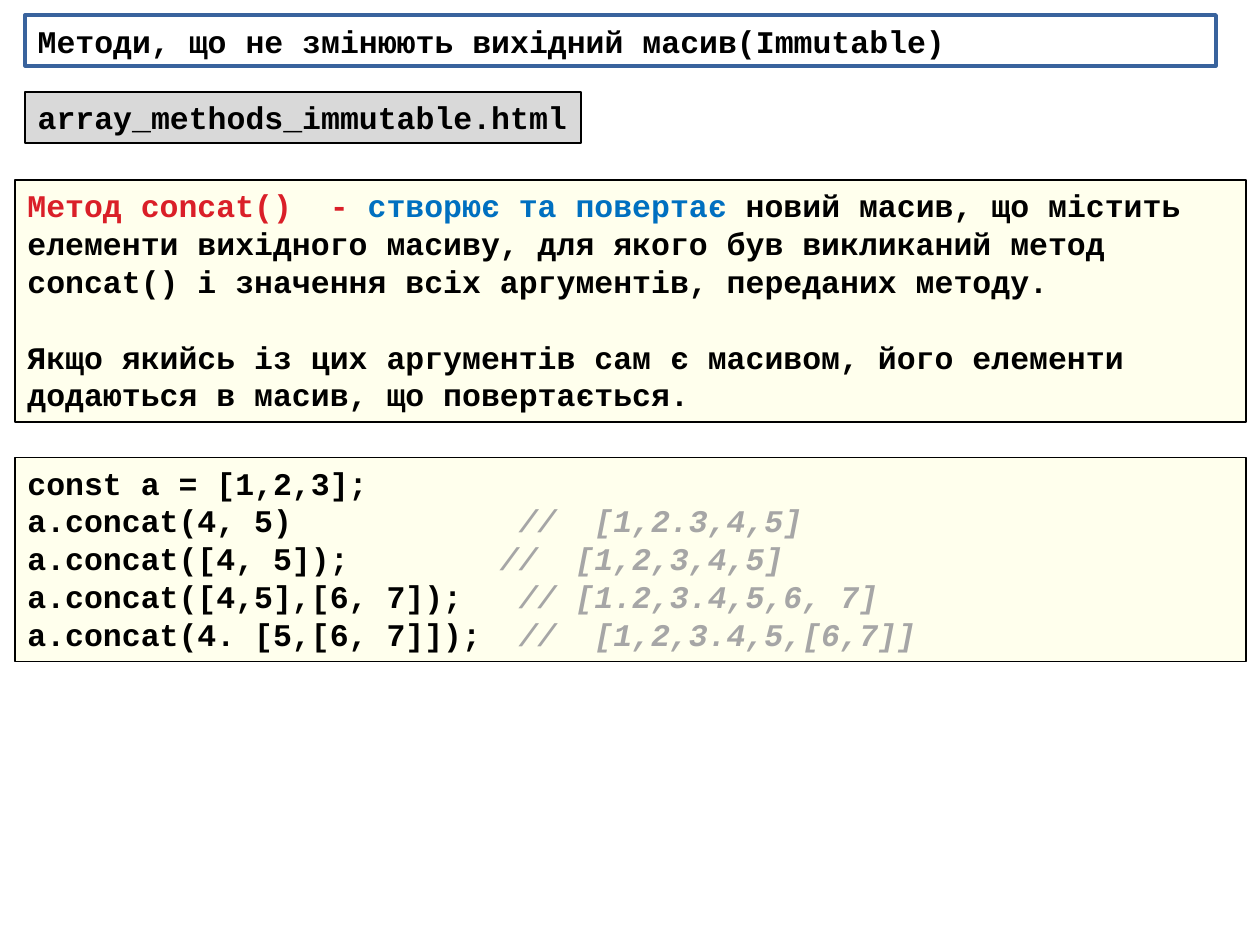
from dataclasses import dataclass

from lxml import etree
from pptx import Presentation
from pptx.dml.color import RGBColor
from pptx.enum.shapes import MSO_SHAPE
from pptx.enum.text import MSO_ANCHOR, MSO_AUTO_SIZE, PP_ALIGN
from pptx.oxml.ns import qn
from pptx.util import Pt

RECTANGLE = MSO_SHAPE.RECTANGLE
TOP, MIDDLE = MSO_ANCHOR.TOP, MSO_ANCHOR.MIDDLE
GROW, FIXED = MSO_AUTO_SIZE.SHAPE_TO_FIT_TEXT, MSO_AUTO_SIZE.NONE
LEFT = PP_ALIGN.LEFT

BLACK, RED, BLUE, GREY = "000000", "DA1F28", "0070C0", "A6A6A6"
FONT_FORMAT = {"name": "Courier New", "size": Pt(18), "bold": True}
CHARACTER_WIDTH = 10.8
LINE_HEIGHT = 21.6


@dataclass
class Run:
    text: str
    color: str = BLACK
    italic: bool = False


@dataclass
class Line:
    runs: list[Run]
    space_before: float = 0
    tab_column: int = 0


@dataclass
class Box:
    left: float
    top: float
    width: float
    height: float
    fill: str
    lines: list[Line]
    opacity: int = 100
    line_color: str = BLACK
    line_width: float = 1
    anchor: MSO_ANCHOR = TOP
    auto_size: MSO_AUTO_SIZE = GROW


def rgb(color: str) -> RGBColor:
    return RGBColor.from_string(color)


def code_line(code: str, comment: str, column: int = 26) -> Line:
    return Line([Run(code + "\t"), Run(comment, GREY, True)], tab_column=column)


def add_line(paragraph, line: Line) -> None:
    paragraph.alignment = LEFT
    paragraph.space_before = Pt(line.space_before)
    if line.tab_column:
        tabs = etree.SubElement(paragraph._p.get_or_add_pPr(), qn("a:tabLst"))
        position = Pt(line.tab_column * CHARACTER_WIDTH)
        etree.SubElement(tabs, qn("a:tab"), pos=str(int(position)), algn="l")
    for part in line.runs:
        run = paragraph.add_run()
        run.text = part.text
        for name, value in FONT_FORMAT.items():
            setattr(run.font, name, value)
        run.font.italic = part.italic
        run.font.color.rgb = rgb(part.color)


def add_box(slide, box: Box) -> None:
    shape = slide.shapes.add_shape(
        RECTANGLE, Pt(box.left), Pt(box.top), Pt(box.width), Pt(box.height))
    shape.shadow.inherit = False
    shape.fill.solid()
    shape.fill.fore_color.rgb = rgb(box.fill)
    if box.opacity < 100:
        color = shape._element.spPr.find(qn("a:solidFill"))[0]
        etree.SubElement(color, qn("a:alpha"), val=str(box.opacity * 1000))
    shape.line.color.rgb = rgb(box.line_color)
    shape.line.width = Pt(box.line_width)

    frame = shape.text_frame
    frame.word_wrap = True
    frame.vertical_anchor = box.anchor
    frame.auto_size = box.auto_size
    for index, line in enumerate(box.lines):
        paragraph = frame.add_paragraph() if index else frame.paragraphs[0]
        add_line(paragraph, line)


# Text of the two wide panels
description = [
    Line([
        Run("Метод concat()  - ", RED),
        Run("створює та повертає ", BLUE),
        Run("новий масив, що містить елементи вихідного масиву, "
            "для якого був викликаний метод"),
    ]),
    Line([Run("concat() і значення всіх аргументів, переданих методу.")]),
    Line([Run("Якщо якийсь із цих аргументів сам є масивом, його елементи "
              "додаються в масив, що повертається.")], space_before=LINE_HEIGHT),
]
example = [
    Line([Run("const a = [1,2,3];")]),
    code_line("a.concat(4, 5)", "//  [1,2.3,4,5]"),
    code_line("a.concat([4, 5]);", "//  [1,2,3,4,5]", column=25),
    code_line("a.concat([4,5],[6, 7]);", "// [1.2,3.4,5,6, 7]"),
    code_line("a.concat(4. [5,[6, 7]]);", "//  [1,2,3.4,5,[6,7]]"),
]

# Boxes from back to front
boxes = [
    Box(8.6, 103, 703.4, 138.2, "FFFF00", description, opacity=7),
    Box(14.4, 52.6, 317.5, 29, "D9D9D9",
        [Line([Run("array_methods_immutable.html")])]),
    Box(8.6, 261.4, 703.4, 116.6, "FFFF00", example, opacity=7),
    Box(14.4, 8.6, 680.4, 29, "FFFFFF",
        [Line([Run("Методи, що не змінюють вихідний масив(Immutable)")])],
        line_color="39639D", line_width=2.25, anchor=MIDDLE, auto_size=FIXED),
]

presentation = Presentation()
presentation.slide_width, presentation.slide_height = Pt(720), Pt(540)
slide = presentation.slides.add_slide(presentation.slide_layouts[6])
for box in boxes:
    add_box(slide, box)
presentation.save("out.pptx")
